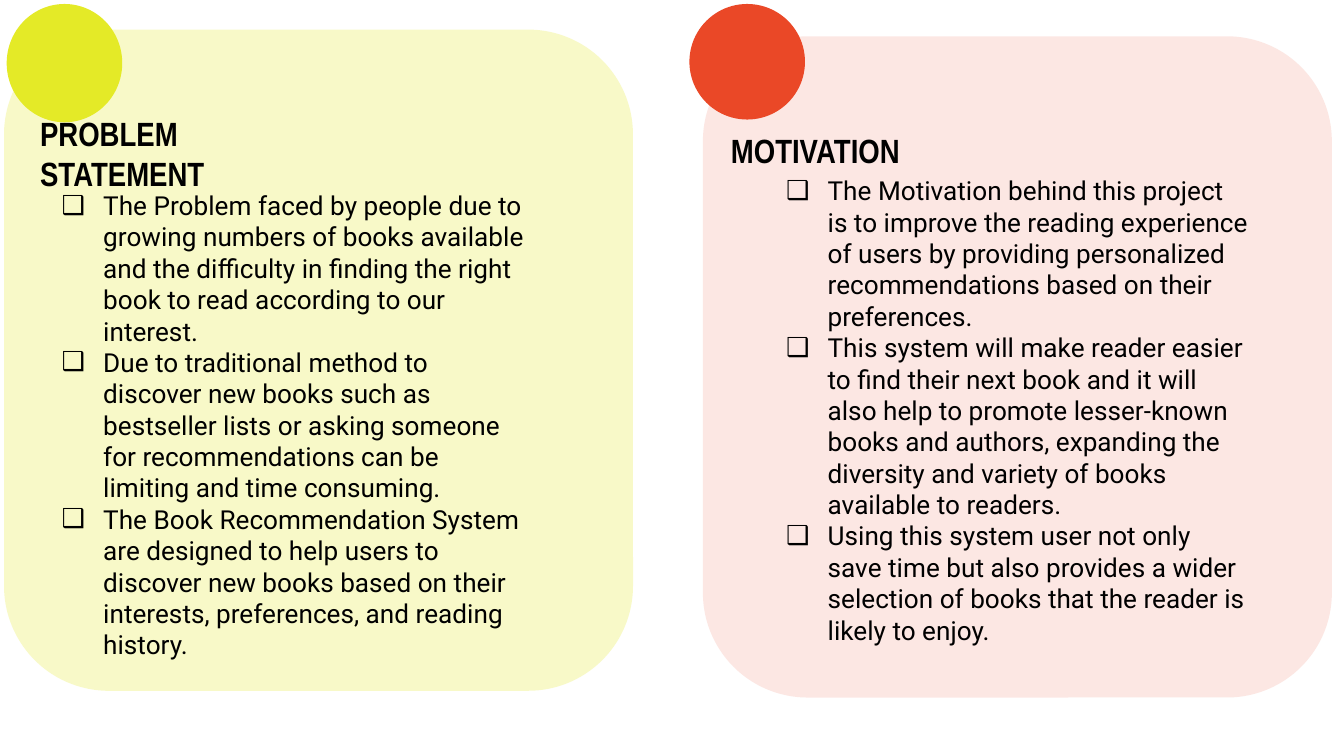
from lxml.etree import SubElement
from pptx import Presentation
from pptx.dml.color import RGBColor
from pptx.enum.shapes import MSO_SHAPE
from pptx.enum.text import MSO_ANCHOR
from pptx.oxml.ns import qn
from pptx.util import Inches, Pt

BLACK = RGBColor(0x00, 0x00, 0x00)
YELLOW = RGBColor(0xE4, 0xEA, 0x27)
RED = RGBColor(0xEA, 0x48, 0x27)

HEADING_FONT = "Arial Narrow"
BODY_FONT = "Roboto"

SLIDE_WIDTH = 10
SLIDE_HEIGHT = SLIDE_WIDTH * 9 / 16
CARD_SIZE = (4.68, 4.92)
HEADING_WIDTH = 2.31
BODY_SIZE = (3.66, 3.66)
HEADING_TOP = 0.94
DOT_TOP = 0.03

# Positions are (left, top) in inches.
PANELS = [
    {
        "heading": "PROBLEM STATEMENT",
        "points": [
            "The Problem faced by people due to growing numbers of books available and the difficulty in finding the right book to read according to our interest.",
            "Due to traditional method to discover new books such as bestseller lists or asking someone for recommendations can be limiting and time consuming.",
            "The Book Recommendation System are designed to help users to discover new books based on their interests, preferences, and reading history.",
        ],
        "color": YELLOW, "opacity": 25,
        "card": (0.03, 0.22), "dot_left": 0.05, "dot_size": (0.86, 0.88),
        "heading_left": 0.2, "heading_height": 0.4, "body": (0.35, 1.31),
    },
    {
        "heading": "MOTIVATION",
        "points": [
            "The Motivation behind this project is to improve the reading experience of users by providing personalized recommendations based on their preferences.",
            "This system will make reader easier to find their next book and it will also help to promote lesser-known books and authors, expanding the diversity and variety of books available to readers.",
            "Using this system user not only save time but also provides a wider selection of books that the reader is likely to enjoy.",
        ],
        "color": RED, "opacity": 13,
        "card": (5.23, 0.27), "dot_left": 5.13, "dot_size": (0.86, 0.86),
        "heading_left": 5.34, "heading_height": 0.36, "body": (5.74, 1.2),
    },
]


def add_filled_shape(slide, kind, position, size, color):
    shape = slide.shapes.add_shape(kind, *map(Inches, position + size))
    shape.shadow.inherit = False
    shape.fill.solid()
    shape.fill.fore_color.rgb = color
    shape.line.fill.background()
    return shape


def set_opacity(shape, percent):
    color = shape.fill._xPr.find(qn("a:solidFill"))[0]
    SubElement(color, qn("a:alpha"), val=str(percent * 1000))


def add_text(slide, position, size, lines, font_name, font_size, bold=False, bullet=None):
    box = slide.shapes.add_textbox(*map(Inches, position + size))
    frame = box.text_frame
    frame.word_wrap = True
    frame.margin_left = frame.margin_right = Inches(0.1)
    frame.margin_top = frame.margin_bottom = Inches(0.1)
    frame.text = "\n".join(lines)
    for paragraph in frame.paragraphs:
        if bullet:
            add_bullet(paragraph, bullet, font_name)
        font = paragraph.font
        font.name, font.size, font.bold = font_name, Pt(font_size), bold
        font.color.rgb = BLACK
    return frame


def add_bullet(paragraph, character, font_name):
    properties = paragraph._p.get_or_add_pPr()
    properties.set("marL", str(Inches(0.32)))
    properties.set("indent", str(Inches(-0.31)))
    color = SubElement(properties, qn("a:buClr"))
    SubElement(color, qn("a:srgbClr"), val=str(BLACK))
    SubElement(properties, qn("a:buFont"), typeface=font_name)
    SubElement(properties, qn("a:buChar"), char=character)


def main():
    presentation = Presentation()
    presentation.slide_width = Inches(SLIDE_WIDTH)
    presentation.slide_height = Inches(SLIDE_HEIGHT)
    slide = presentation.slides.add_slide(presentation.slide_layouts[6])

    # Both cards lie behind both dots, the right card at the very back.
    for panel in reversed(PANELS):
        card = add_filled_shape(slide, MSO_SHAPE.ROUNDED_RECTANGLE,
                                panel["card"], CARD_SIZE, panel["color"])
        set_opacity(card, panel["opacity"])
    for panel in PANELS:
        add_filled_shape(slide, MSO_SHAPE.OVAL, (panel["dot_left"], DOT_TOP),
                         panel["dot_size"], panel["color"])
    for panel in PANELS:
        heading = add_text(slide, (panel["heading_left"], HEADING_TOP),
                           (HEADING_WIDTH, panel["heading_height"]),
                           [panel["heading"]], HEADING_FONT, 18, bold=True)
        heading.vertical_anchor = MSO_ANCHOR.MIDDLE
        add_text(slide, panel["body"], BODY_SIZE, panel["points"], BODY_FONT, 14, bullet="❑")

    presentation.save("out.pptx")


if __name__ == "__main__":
    main()
